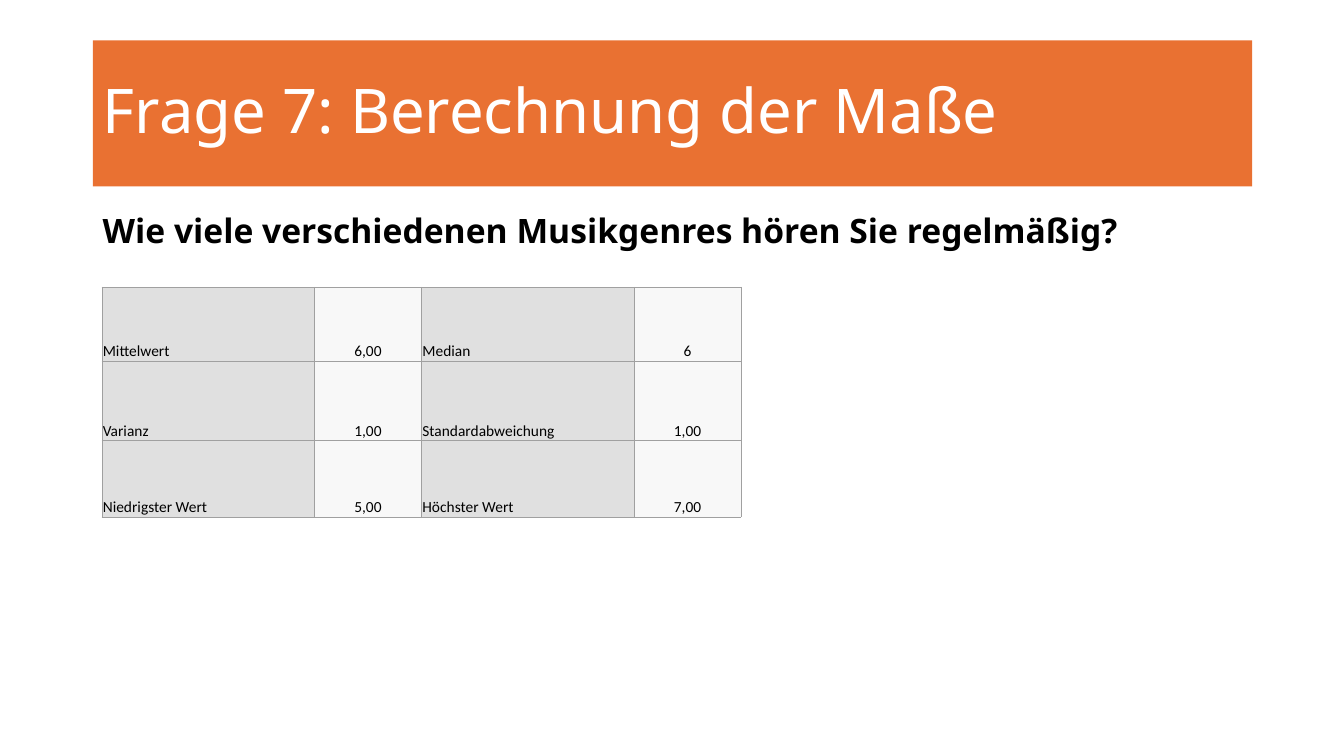
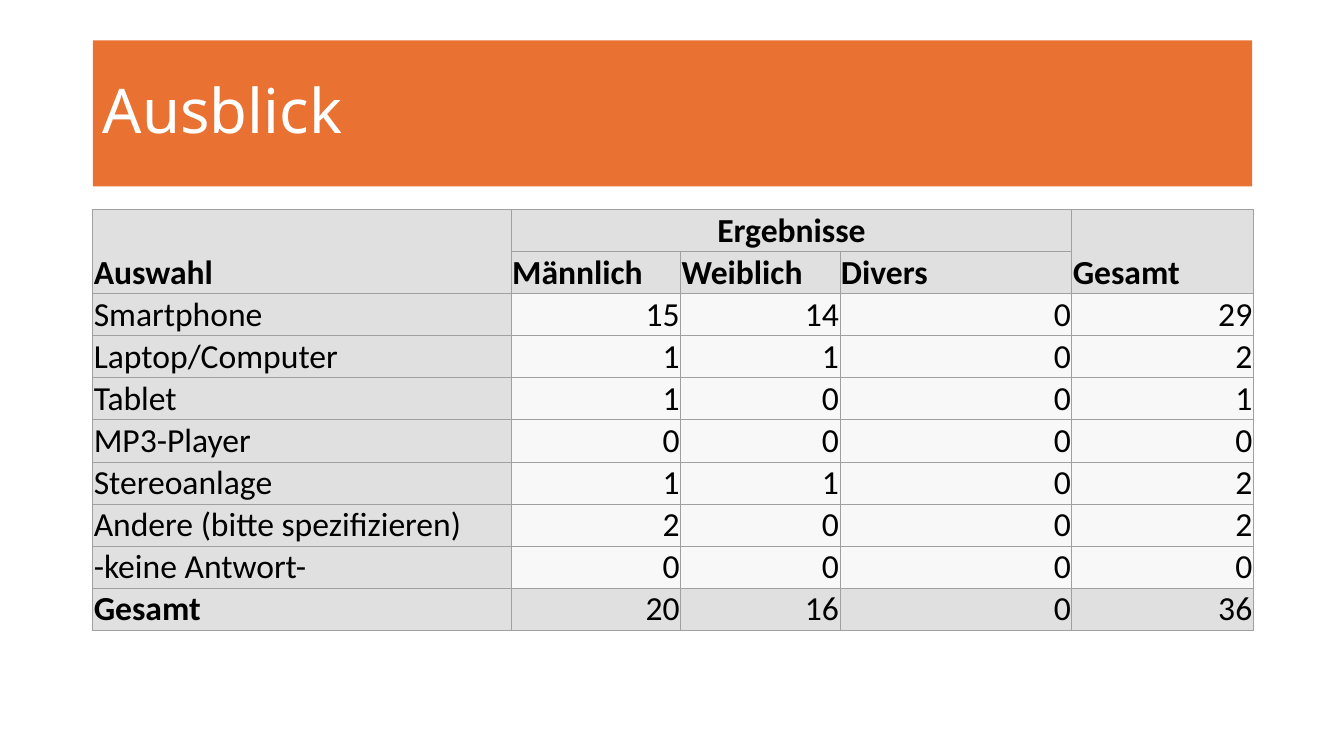
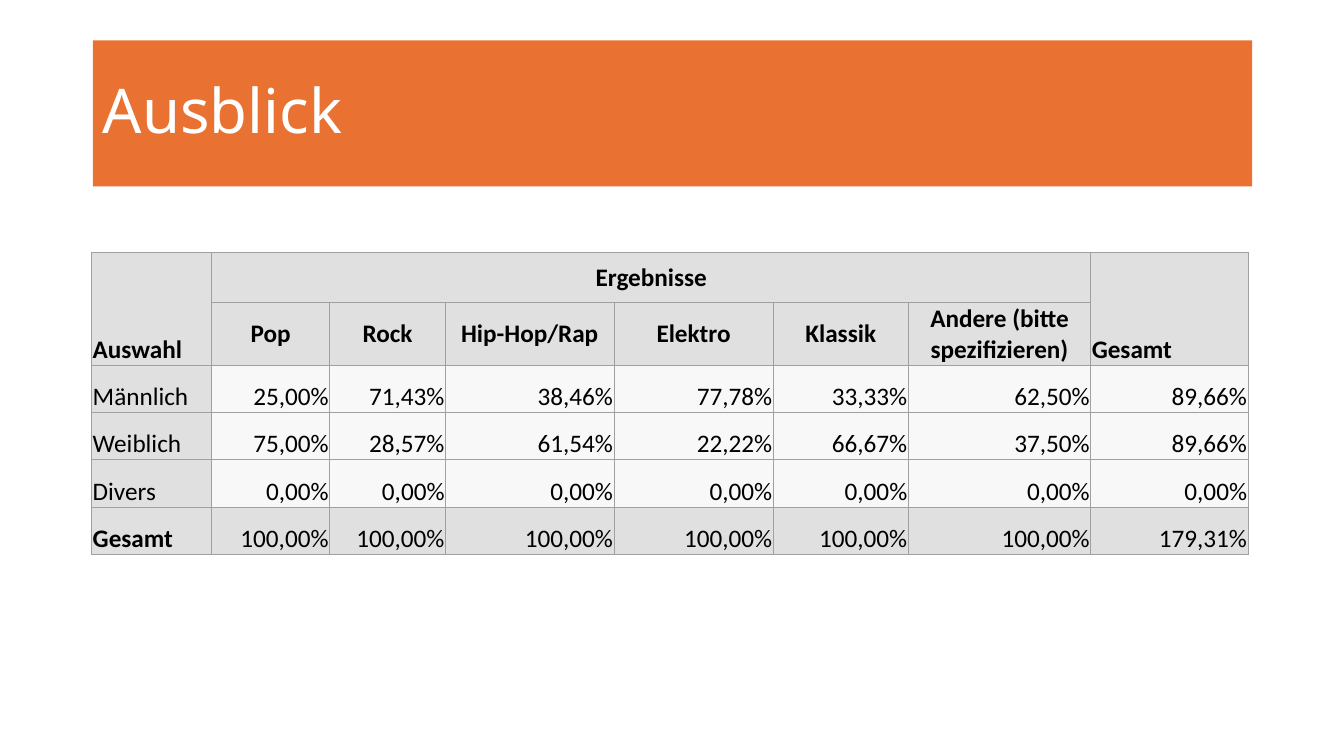
"""Build three survey result slides with a shared title band and table style."""
from lxml import etree
from pptx import Presentation
from pptx.dml.color import RGBColor
from pptx.enum.text import MSO_ANCHOR, MSO_AUTO_SIZE, PP_ALIGN
from pptx.oxml.ns import qn
from pptx.util import Inches, Pt

LEFT, CENTER, RIGHT = PP_ALIGN.LEFT, PP_ALIGN.CENTER, PP_ALIGN.RIGHT
MIDDLE, BOTTOM = MSO_ANCHOR.MIDDLE, MSO_ANCHOR.BOTTOM
NO_AUTOFIT, GROW_SHAPE = MSO_AUTO_SIZE.NONE, MSO_AUTO_SIZE.SHAPE_TO_FIT_TEXT

ORANGE = RGBColor(0xE9, 0x71, 0x32)
WHITE = RGBColor(0xFF, 0xFF, 0xFF)
BLACK = RGBColor(0x00, 0x00, 0x00)
LABEL_GRAY = RGBColor(0xE0, 0xE0, 0xE0)
VALUE_GRAY = RGBColor(0xF8, 0xF8, 0xF8)
BORDER_GRAY = RGBColor(0xA0, 0xA0, 0xA0)
HEADING_FONT = "Noto Sans"
TABLE_FONT = "Calibri"
TOTAL = "Gesamt"

presentation = Presentation()
presentation.slide_width = Inches(13.33)
presentation.slide_height = Inches(7.5)
title_only_layout = presentation.slide_layouts[5]


def add_titled_slide(title_text):
    """Add a slide with an orange title band."""
    slide = presentation.slides.add_slide(title_only_layout)
    title = slide.shapes.title
    title.left, title.top = Inches(0.92), Inches(0.4)
    title.width, title.height = Inches(11.5), Inches(1.45)
    title.fill.solid()
    title.fill.fore_color.rgb = ORANGE
    title.text_frame.auto_size = NO_AUTOFIT
    title.text_frame.vertical_anchor = MIDDLE
    paragraph = title.text_frame.paragraphs[0]
    paragraph.alignment = LEFT
    paragraph.line_spacing = 0.9
    run = paragraph.add_run()
    run.text = title_text
    run.font.size = Pt(44)
    run.font.name = HEADING_FONT
    run.font.color.rgb = WHITE
    return slide


def add_result_table(slide, left, top, widths, heights, rows, size, header_rows=0, value_alignment=RIGHT):
    """Add a bordered table with gray labels and light values."""
    table = slide.shapes.add_table(
        len(rows), len(widths), Inches(left), Inches(top), Inches(sum(widths)), Inches(sum(heights))
    ).table
    table.first_row = table.horz_banding = False
    for column, width in zip(table.columns, widths):
        column.width = Inches(width)
    for row_index, (row, height, texts) in enumerate(zip(table.rows, heights, rows)):
        row.height = Inches(height)
        is_total = texts[0] == TOTAL
        for cell, text in zip(row.cells, texts):
            is_value = text[:1].isdigit()
            cell.margin_left = cell.margin_right = cell.margin_top = Inches(0.01)
            cell.margin_bottom = 0
            cell.vertical_anchor = BOTTOM
            properties = cell._tc.get_or_add_tcPr()
            for side in ("a:lnL", "a:lnR", "a:lnT", "a:lnB"):
                line = etree.SubElement(properties, qn(side), w=str(Pt(0.5)))
                line_fill = etree.SubElement(line, qn("a:solidFill"))
                etree.SubElement(line_fill, qn("a:srgbClr"), val=str(BORDER_GRAY))
            cell.fill.solid()
            cell.fill.fore_color.rgb = VALUE_GRAY if is_value and not is_total else LABEL_GRAY
            if text:
                paragraph = cell.text_frame.paragraphs[0]
                paragraph.alignment = value_alignment if is_value else LEFT
                run = paragraph.add_run()
                run.text = text
                run.font.size = Pt(size)
                run.font.name = TABLE_FONT
                run.font.color.rgb = BLACK
                run.font.bold = not is_value and (is_total or row_index < header_rows)
    if header_rows:
        last = len(widths) - 1
        table.cell(0, 0).merge(table.cell(1, 0))
        table.cell(0, 1).merge(table.cell(0, last - 1))
        table.cell(0, last).merge(table.cell(1, last))
        table.cell(0, 1).text_frame.paragraphs[0].alignment = CENTER
    return table


measures_slide = add_titled_slide("Frage 7: Berechnung der Maße")
measures = [
    ["Mittelwert", "6,00", "Median", "6"],
    ["Varianz", "1,00", "Standardabweichung", "1,00"],
    ["Niedrigster Wert", "5,00", "Höchster Wert", "7,00"],
]
add_result_table(
    measures_slide, 1.01, 2.85, [2.11, 1.06] * 2, [0.73, 0.79, 0.76], measures, 11, value_alignment=CENTER
)
question = measures_slide.shapes.add_textbox(Inches(0.92), Inches(2.03), Inches(10.85), Inches(0.5))
question.text_frame.word_wrap = True
question.text_frame.auto_size = GROW_SHAPE
question_run = question.text_frame.paragraphs[0].add_run()
question_run.text = "Wie viele verschiedenen Musikgenres hören Sie regelmäßig?"
question_run.font.size = Pt(24)
question_run.font.name = HEADING_FONT
question_run.font.bold = True
question_run.font.color.rgb = BLACK

devices_slide = add_titled_slide("Ausblick")
devices = [
    ["Auswahl", "Ergebnisse", "", "", TOTAL],
    ["", "Männlich", "Weiblich", "Divers", ""],
    ["Smartphone", "15", "14", "0", "29"],
    ["Laptop/Computer", "1", "1", "0", "2"],
    ["Tablet", "1", "0", "0", "1"],
    ["MP3-Player", "0", "0", "0", "0"],
    ["Stereoanlage", "1", "1", "0", "2"],
    ["Andere (bitte spezifizieren)", "2", "0", "0", "2"],
    ["-keine Antwort-", "0", "0", "0", "0"],
    [TOTAL, "20", "16", "0", "36"],
]
add_result_table(
    devices_slide, 0.92, 2.08, [4.15, 1.68, 1.58, 2.3, 1.8], [0.41] * len(devices), devices, 24, header_rows=2
)

genres_slide = add_titled_slide("Ausblick")
genres = [
    ["Auswahl", "Ergebnisse", "", "", "", "", "", TOTAL],
    ["", "Pop", "Rock", "Hip-Hop/Rap", "Elektro", "Klassik", "Andere (bitte spezifizieren)", ""],
    ["Männlich", "25,00%", "71,43%", "38,46%", "77,78%", "33,33%", "62,50%", "89,66%"],
    ["Weiblich", "75,00%", "28,57%", "61,54%", "22,22%", "66,67%", "37,50%", "89,66%"],
    ["Divers"] + ["0,00%"] * 7,
    [TOTAL] + ["100,00%"] * 6 + ["179,31%"],
]
genre_table = add_result_table(
    genres_slide, 0.91, 2.5, [1.19, 1.17, 1.15, 1.67, 1.58, 1.34, 1.81, 1.56],
    [0.5, 0.51] + [0.47] * 4, genres, 18, header_rows=2
)
genre_table.cell(0, 1).vertical_anchor = MIDDLE
for column_index in range(1, 7):
    genre_cell = genre_table.cell(1, column_index)
    genre_cell.vertical_anchor = MIDDLE
    genre_cell.text_frame.paragraphs[0].alignment = CENTER

presentation.save("out.pptx")
